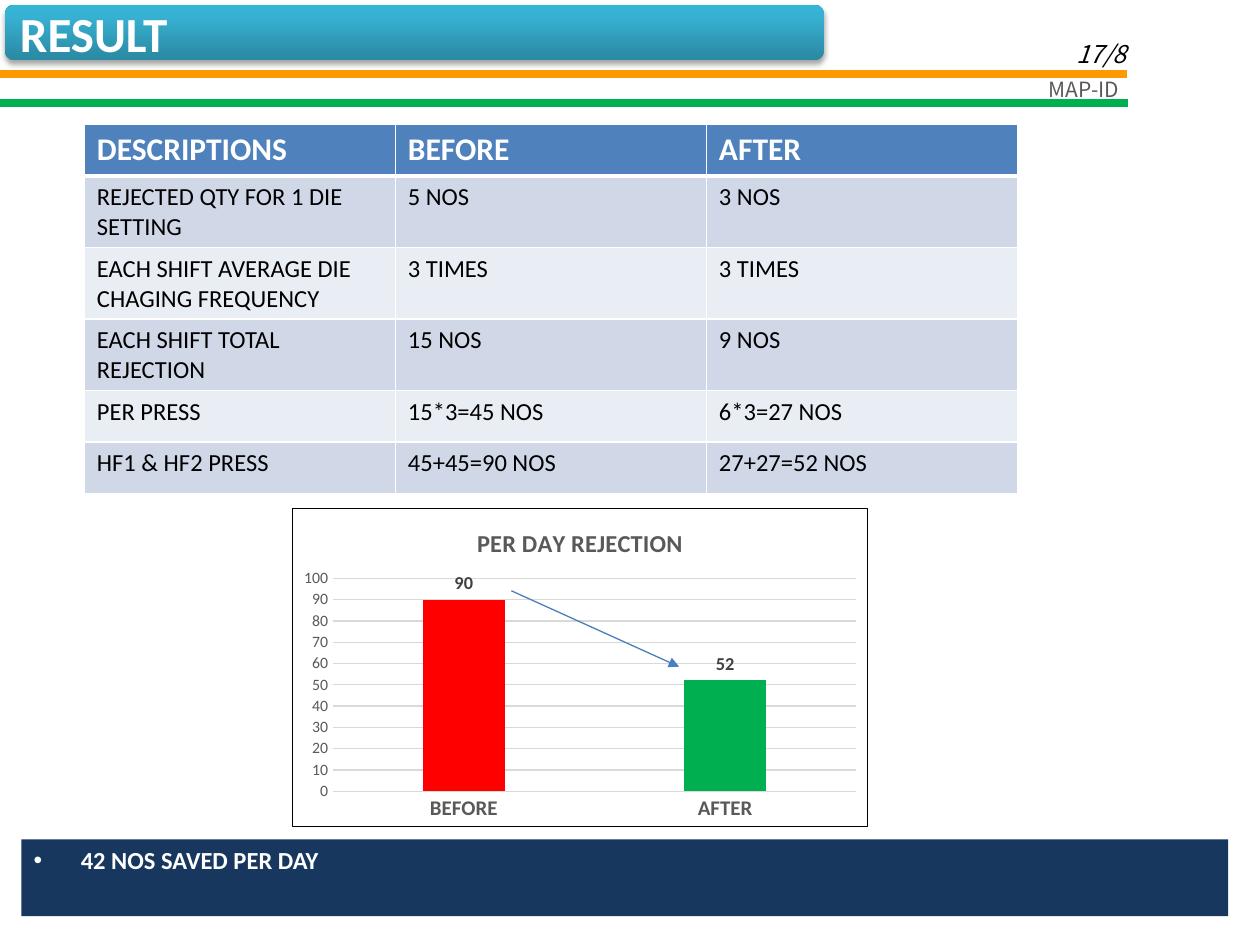
from copy import deepcopy
from dataclasses import dataclass

from lxml import etree
from pptx import Presentation
from pptx.chart.data import CategoryChartData
from pptx.dml.color import RGBColor
from pptx.enum.chart import XL_CHART_TYPE, XL_LABEL_POSITION, XL_TICK_MARK
from pptx.enum.shapes import MSO_CONNECTOR, MSO_SHAPE
from pptx.enum.text import MSO_ANCHOR, PP_ALIGN
from pptx.oxml import parse_xml
from pptx.oxml.ns import nsdecls, qn
from pptx.util import Cm, Pt

COLUMN = XL_CHART_TYPE.COLUMN_CLUSTERED
OUTSIDE_END = XL_LABEL_POSITION.OUTSIDE_END
NO_TICK = XL_TICK_MARK.NONE
STRAIGHT = MSO_CONNECTOR.STRAIGHT
RECTANGLE, ROUNDED = MSO_SHAPE.RECTANGLE, MSO_SHAPE.ROUNDED_RECTANGLE
TOP, MIDDLE, BOTTOM = MSO_ANCHOR.TOP, MSO_ANCHOR.MIDDLE, MSO_ANCHOR.BOTTOM
LEFT, RIGHT = PP_ALIGN.LEFT, PP_ALIGN.RIGHT

WHITE = RGBColor(0xFF, 0xFF, 0xFF)
BLACK = RGBColor(0x00, 0x00, 0x00)
GREY = RGBColor(0x59, 0x59, 0x59)
DARK_GREY = RGBColor(0x40, 0x40, 0x40)
LIGHT_GREY = RGBColor(0xD9, 0xD9, 0xD9)
ORANGE = RGBColor(0xFF, 0x99, 0x00)
GREEN = RGBColor(0x00, 0xB0, 0x50)
RED = RGBColor(0xFF, 0x00, 0x00)
NAVY = RGBColor(0x17, 0x37, 0x5E)
ARROW_BLUE = RGBColor(0x4B, 0x7E, 0xBC)
HEADER_BLUE = RGBColor(0x4F, 0x81, 0xBD)
BANDS = (RGBColor(0xE9, 0xED, 0xF4), RGBColor(0xD0, 0xD8, 0xE8))
TITLE_STOPS = ((0, "2A88A2"), (80000, "37B1D2"), (100000, "34B4D6"))

BODY_FONT, HEAD_FONT = "Calibri", "Noto Sans CJK JP"
ROWS = (
    ("DESCRIPTIONS", "BEFORE", "AFTER"),
    ("REJECTED QTY FOR 1 DIE SETTING", "5 NOS", "3 NOS"),
    ("EACH SHIFT AVERAGE DIE CHAGING FREQUENCY", "3 TIMES", "3 TIMES"),
    ("EACH SHIFT TOTAL REJECTION", "15 NOS", "9 NOS"),
    ("PER PRESS", "15*3=45 NOS", "6*3=27 NOS"),
    ("HF1 & HF2 PRESS", "45+45=90 NOS", "27+27=52 NOS"),
)


@dataclass
class Label:
    text: str
    box: tuple
    size: float
    color: RGBColor
    anchor: MSO_ANCHOR


@dataclass
class Line:
    start: tuple
    end: tuple
    color: RGBColor
    width: float


HEADER_LABELS = (
    Label("17/8", (17.68, 0.23, 5.28, 1.27), 14, BLACK, BOTTOM),
    Label("MAP-ID", (19, 1.42, 3.81, 0.76), 12, GREY, TOP),
)
HEADER_LINES = (
    Line((-0.03, 1.5), (22.71, 1.5), ORANGE, 4.5),
    Line((0, 2.08), (22.73, 2.08), GREEN, 4.5),
)
TREND_ARROW = Line((10.31, 11.91), (13.69, 13.44), ARROW_BLUE, 0.75)


def lengths(values) -> list:
    return [Cm(value) for value in values]


def style_font(font, size: float, color: RGBColor, **extra) -> None:
    values = {"name": BODY_FONT, "size": Pt(size), "bold": False, **extra}
    for name, value in values.items():
        setattr(font, name, value)
    font.color.rgb = color


def write(frame, text: str, anchor, align, size: float, color: RGBColor, **extra) -> None:
    frame.word_wrap = True
    frame.vertical_anchor = anchor
    paragraph = frame.paragraphs[0]
    paragraph.alignment = align
    run = paragraph.add_run()
    run.text = text
    style_font(run.font, size, color, **extra)


def add_line(slide, line: Line):
    connector = slide.shapes.add_connector(STRAIGHT, *lengths(line.start + line.end))
    connector.line.color.rgb = line.color
    connector.line.width = Pt(line.width)
    etree.SubElement(connector._element.spPr, qn("a:effectLst"))
    return connector


def add_header_label(slide, label: Label) -> None:
    box = slide.shapes.add_textbox(*lengths(label.box))
    write(box.text_frame, label.text, label.anchor, RIGHT, label.size, label.color,
          name=HEAD_FONT, italic=label.anchor == BOTTOM)


def add_panel(slide, preset, box: tuple):
    shape = slide.shapes.add_shape(preset, *lengths(box))
    shape.shadow.inherit = False
    shape.line.fill.background()
    return shape


def add_title(slide) -> None:
    shape = add_panel(slide, ROUNDED, (0.1, 0.1, 16.51, 1.12))
    shape.fill.gradient()
    shape.fill.gradient_angle = 90
    properties = shape._element.spPr
    stops = properties.find(".//" + qn("a:gsLst"))
    template = deepcopy(stops[0])
    for stop in list(stops):
        stops.remove(stop)
    for position, color in TITLE_STOPS:
        stop = deepcopy(template)
        stop.set("pos", str(position))
        for child in list(stop):
            stop.remove(child)
        etree.SubElement(stop, qn("a:srgbClr"), val=color)
        stops.append(stop)
    properties.find(qn("a:effectLst")).append(parse_xml(
        f'<a:outerShdw {nsdecls("a")} blurRad="40000" dist="23000" dir="5400000" rotWithShape="0">'
        '<a:srgbClr val="000000"><a:alpha val="35000"/></a:srgbClr></a:outerShdw>'))
    write(shape.text_frame, "RESULT", MIDDLE, LEFT, 28, WHITE, bold=True)


def add_summary(slide) -> None:
    shape = add_panel(slide, RECTANGLE, (0.43, 16.92, 24.33, 1.55))
    shape.fill.solid()
    shape.fill.fore_color.rgb = NAVY
    properties = shape.text_frame.paragraphs[0]._p.get_or_add_pPr()
    properties.set("marL", str(Cm(0.95)))
    properties.set("indent", str(-Cm(0.95)))
    etree.SubElement(properties, qn("a:buFont"), typeface="Arial")
    etree.SubElement(properties, qn("a:buChar"), char="•")
    write(shape.text_frame, "42 NOS SAVED PER DAY", TOP, LEFT, 14, WHITE, bold=True)


def set_borders(cell, bottom: float, top: float) -> None:
    widths = {"lnL": 1, "lnR": 1, "lnT": top, "lnB": bottom}
    for index, (side, width) in enumerate(widths.items()):
        cell._tc.get_or_add_tcPr().insert(index, parse_xml(
            f'<a:{side} {nsdecls("a")} w="{Pt(width)}"><a:solidFill>'
            f'<a:srgbClr val="{WHITE}"/></a:solidFill></a:{side}>'))


def add_result_table(slide) -> None:
    box = lengths((1.7, 2.51, 18.81, 1.04 * len(ROWS)))
    table = slide.shapes.add_table(len(ROWS), len(ROWS[0]), *box).table
    for row_index, row in enumerate(ROWS):
        header = row_index == 0
        for column_index, text in enumerate(row):
            cell = table.cell(row_index, column_index)
            cell.fill.solid()
            cell.fill.fore_color.rgb = HEADER_BLUE if header else BANDS[row_index % 2]
            set_borders(cell, 3 if header else 1, 3 if row_index == 1 else 1)
            write(cell.text_frame, text, TOP, LEFT, 18 if header else 14,
                  WHITE if header else BLACK, bold=header)


def add_rejection_chart(slide) -> None:
    data = CategoryChartData()
    data.categories = ("BEFORE", "AFTER")
    data.add_series("Series 1", (90, 52))
    box = lengths((5.89, 10.24, 11.61, 6.43))
    chart = slide.shapes.add_chart(COLUMN, *box, data).chart
    style_font(chart.font, 10, BLACK)
    chart.has_legend = False
    title = chart.chart_title.text_frame
    title.text = "PER DAY REJECTION"
    style_font(title.paragraphs[0].runs[0].font, 14, GREY, bold=True)

    # Axes
    categories, values = chart.category_axis, chart.value_axis
    for axis, size, bold in ((categories, 12, True), (values, 9, False)):
        axis.major_tick_mark = axis.minor_tick_mark = NO_TICK
        style_font(axis.tick_labels.font, size, GREY, bold=bold)
    values.minimum_scale, values.maximum_scale, values.major_unit = 0, 100, 10
    values.format.line.fill.background()
    for line in (categories.format.line, values.major_gridlines.format.line):
        line.color.rgb = LIGHT_GREY
        line.width = Pt(0.75)

    # Columns and labels
    plot = chart.plots[0]
    plot.gap_width, plot.overlap, plot.vary_by_categories = 219, -27, False
    series = plot.series[0]
    for index, color in enumerate((RED, GREEN)):
        fill = series.points[index].format.fill
        fill.solid()
        fill.fore_color.rgb = color
    labels = series.data_labels
    labels.show_value = True
    labels.position = OUTSIDE_END
    style_font(labels.font, 10.5, DARK_GREY, bold=True)

    # Plot position and frame
    area = chart._chartSpace.chart.plotArea
    for old in area.findall(qn("c:layout")):
        area.remove(old)
    places = {"x": 0.07, "y": 0.22, "w": 0.91, "h": 0.67}
    area.insert(0, parse_xml(
        f'<c:layout {nsdecls("c")}><c:manualLayout><c:layoutTarget val="inner"/>'
        '<c:xMode val="edge"/><c:yMode val="edge"/>'
        + "".join(f'<c:{name} val="{value}"/>' for name, value in places.items())
        + "</c:manualLayout></c:layout>"))
    chart._chartSpace.chart.addnext(parse_xml(
        f'<c:spPr {nsdecls("c", "a")}><a:solidFill><a:srgbClr val="{WHITE}"/></a:solidFill>'
        f'<a:ln w="{Pt(0.75)}"><a:solidFill><a:srgbClr val="{BLACK}"/></a:solidFill></a:ln></c:spPr>'))


def main() -> None:
    presentation = Presentation()
    presentation.slide_width, presentation.slide_height = Cm(25.4), Cm(19.05)
    slide = presentation.slides.add_slide(presentation.slide_layouts[6])

    # Header
    for line in HEADER_LINES:
        add_line(slide, line)
    for label in HEADER_LABELS:
        add_header_label(slide, label)
    add_title(slide)

    # Results
    add_summary(slide)
    add_result_table(slide)
    add_rejection_chart(slide)
    arrow = add_line(slide, TREND_ARROW)
    etree.SubElement(arrow.line._get_or_add_ln(), qn("a:tailEnd"), type="triangle")

    presentation.save("out.pptx")


if __name__ == "__main__":
    main()
